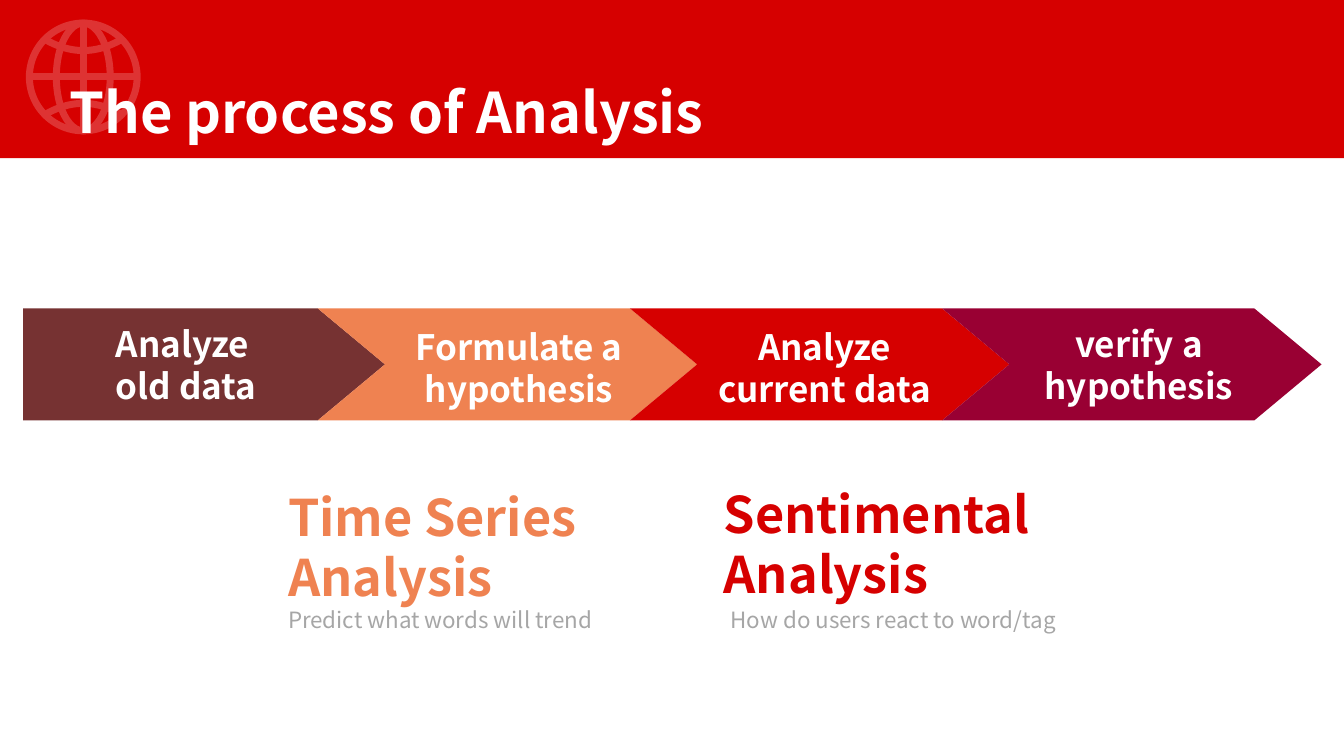
from dataclasses import dataclass

from lxml import etree
from pptx import Presentation
from pptx.dml.color import RGBColor
from pptx.enum.shapes import MSO_CONNECTOR, MSO_SHAPE
from pptx.enum.text import PP_ALIGN
from pptx.oxml.ns import qn
from pptx.util import Pt

RECT = MSO_SHAPE.RECTANGLE
OVAL = MSO_SHAPE.OVAL
PENTAGON = MSO_SHAPE.PENTAGON
CHEVRON = MSO_SHAPE.CHEVRON
STRAIGHT = MSO_CONNECTOR.STRAIGHT
LEFT = PP_ALIGN.LEFT
CENTER = PP_ALIGN.CENTER


@dataclass(frozen=True)
class Theme:
    font: str = "Noto Sans CJK KR"
    white: str = "FFFFFF"
    red: str = "D60000"
    globe: str = "DE3333"
    brown: str = "763232"
    orange: str = "EF8251"
    crimson: str = "990033"
    gray: str = "A6A6A6"
    title: int = 40
    heading: int = 36
    step: int = 25
    note: int = 16


THEME = Theme()


def rgb(color):
    return RGBColor.from_string(color)


def add_text(slide, box, text, size, color, bold=True, align=LEFT, spacing=None):
    sp = slide.shapes.add_textbox(*map(Pt, box))
    tf = sp.text_frame
    tf.word_wrap = True
    tf.text = text
    for p in tf.paragraphs:
        p.alignment = align
        if spacing:
            p.line_spacing = spacing
        for r in p.runs:
            r.font.name = THEME.font
            r.font.size = Pt(size)
            r.font.bold = bold
            r.font.color.rgb = rgb(color)
            ea = etree.SubElement(r.font._element, qn("a:ea"))
            ea.set("typeface", THEME.font)


def add_filled(slide, kind, box, color):
    sp = slide.shapes.add_shape(kind, *map(Pt, box))
    sp.shadow.inherit = False
    sp.fill.solid()
    sp.fill.fore_color.rgb = rgb(color)
    sp.line.fill.background()
    return sp


def outline(sp, width):
    sp.shadow.inherit = False
    sp.fill.background()
    sp.line.width = Pt(width)
    sp.line.color.rgb = rgb(THEME.globe)


def draw_globe(slide, cx, cy, radius):
    stroke = 5
    for rx in (radius, radius / 2):
        box = (cx - rx, cy - radius, 2 * rx, 2 * radius)
        outline(slide.shapes.add_shape(OVAL, *map(Pt, box)), stroke)
    for dx, dy in ((radius, 0), (0, radius)):
        ends = (cx - dx, cy - dy, cx + dx, cy + dy)
        line = slide.shapes.add_connector(STRAIGHT, *map(Pt, ends))
        line.line.width = Pt(stroke)
        line.line.color.rgb = rgb(THEME.globe)
        etree.SubElement(line._element.spPr, qn("a:effectLst"))
    for side in (-1, 1):
        arc = []
        for i in range(-10, 11):
            t = i / 10
            x = cx + 0.7 * radius * t
            y = cy + side * radius * (0.49 + 0.2 * t * t)
            arc.append((Pt(x), Pt(y)))
        fb = slide.shapes.build_freeform(*arc[0])
        fb.add_line_segments(arc[1:], close=False)
        outline(fb.convert_to_shape(), stroke)


def draw_header(slide, left, top, width, height):
    add_filled(slide, RECT, (left, top, width, height), THEME.red)
    draw_globe(slide, left + 59.5, top + 55, 38.5)
    add_text(slide, (left + 42.5, top + 57, 709, 51), "The process of Analysis",
             THEME.title, THEME.white, spacing=0.9)


def draw_process(slide, left, top, width, height):
    tip = 0.6 * height
    first = 258.5
    pitch = (width - first) / 3
    steps = [
        ("Analyze \nold data", THEME.brown, (-3, 6.3, 239)),
        ("Formulate a hypothesis", THEME.orange, (264.3, 8.5, 180)),
        ("Analyze current data", THEME.red, (482.5, 8.5, 180)),
        ("verify a hypothesis", THEME.crimson, (707, 6.3, 180)),
    ]
    for i, (_, color, _) in enumerate(steps):
        if i == 0:
            kind, x, w = PENTAGON, left, first
        else:
            kind, w = CHEVRON, pitch + tip
            x = left + first - tip + (i - 1) * pitch
        sp = add_filled(slide, kind, (x, top, w, height), color)
        sp.adjustments[0] = tip / height
    for text, _, (dx, dy, w) in steps:
        add_text(slide, (left + dx, top + dy, w, 68), text,
                 THEME.step, THEME.white, align=CENTER)


def draw_method(slide, left, top, heading, color, note, note_dx, note_dy):
    add_text(slide, (left, top, 300, 94), heading, THEME.heading, color)
    add_text(slide, (left + note_dx, top + note_dy, 252, 27), note,
             THEME.note, THEME.gray, bold=False)


def main():
    prs = Presentation()
    prs.slide_width = Pt(960)
    prs.slide_height = Pt(540)
    slide = prs.slides.add_slide(prs.slide_layouts[6])
    draw_header(slide, 0, 0, 960, 113)
    draw_process(slide, 16.5, 220.3, 927.5, 80)
    draw_method(slide, 198.7, 343.5, "Time Series Analysis", THEME.orange,
                "Predict what words will trend", 0, 85.6)
    draw_method(slide, 509.8, 341.3, "Sentimental Analysis", THEME.red,
                "How do users react to word/tag", 5, 87.8)
    prs.save("out.pptx")


if __name__ == "__main__":
    main()
